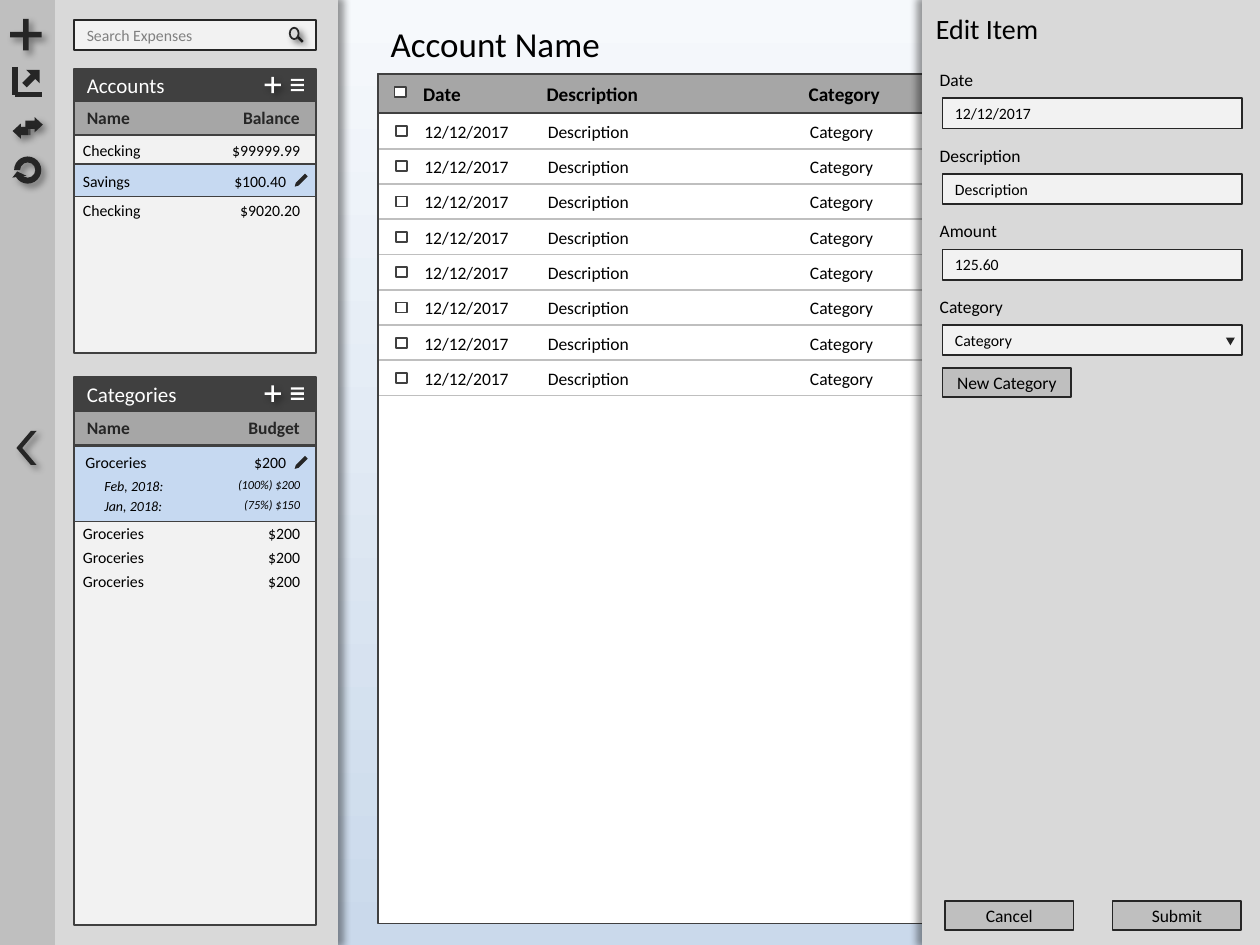
from lxml import etree
from pptx import Presentation
from pptx import util as u
from pptx.dml.color import RGBColor
from pptx.enum import shapes, text
from pptx.oxml import ns

BLACK = RGBColor(0x00, 0x00, 0x00)
INK = RGBColor(0x26, 0x26, 0x26)
CHARCOAL = RGBColor(0x40, 0x40, 0x40)
HINT = RGBColor(0x80, 0x80, 0x80)
HEADING = RGBColor(0xA6, 0xA6, 0xA6)
SILVER = RGBColor(0xBF, 0xBF, 0xBF)
PANEL = RGBColor(0xD9, 0xD9, 0xD9)
FIELD = RGBColor(0xF2, 0xF2, 0xF2)
SELECTED = RGBColor(0xC6, 0xD9, 0xF1)
WHITE = RGBColor(0xFF, 0xFF, 0xFF)
SKY_TOP = RGBColor(0xF6, 0xF9, 0xFC)
SKY_BOTTOM = RGBColor(0xCA, 0xD9, 0xEB)

KIND = shapes.MSO_SHAPE
LEFT, CENTER, RIGHT = text.PP_ALIGN.LEFT, text.PP_ALIGN.CENTER, text.PP_ALIGN.RIGHT


class Screen:
    font = "Calibri"

    def __init__(self, slide):
        self.slide = slide

    def add_words(self, frame, words, size, color=BLACK, align=LEFT,
                  anchor=text.MSO_ANCHOR.TOP, bold=False, italic=False):
        frame.word_wrap = True
        frame.vertical_anchor = anchor
        para = frame.paragraphs[0]
        para.alignment = align
        span = para.add_run()
        span.text = words
        span.font.name = self.font
        span.font.size = u.Pt(size)
        span.font.color.rgb = color
        span.font.bold = bold
        span.font.italic = italic
        return para

    def title(self, words, left, top, width, height, size):
        holder = self.slide.shapes.title
        holder.left, holder.top = u.Inches(left), u.Inches(top)
        holder.width, holder.height = u.Inches(width), u.Inches(height)
        holder.text_frame.auto_size = text.MSO_AUTO_SIZE.NONE
        self.add_words(holder.text_frame, words, size)

    def label(self, words, left, top, width, height, size, **style):
        box = self.slide.shapes.add_textbox(
            u.Inches(left), u.Inches(top), u.Inches(width), u.Inches(height))
        self.add_words(box.text_frame, words, size, **style)
        box.text_frame.auto_size = text.MSO_AUTO_SIZE.SHAPE_TO_FIT_TEXT

    def shape(self, left, top, width, height, fill, kind=KIND.RECTANGLE, line=None,
              weight=1, adjust=(), turn=0, flip=False, shadow=None):
        """Draw a preset shape; shadow is the direction it falls, in degrees."""
        box = self.slide.shapes.add_shape(
            kind, u.Inches(left), u.Inches(top), u.Inches(width), u.Inches(height))
        box.fill.solid()
        box.fill.fore_color.rgb = fill
        if line is None:
            box.line.fill.background()
        else:
            box.line.color.rgb = line
            box.line.width = u.Pt(weight)
        for index, value in enumerate(adjust):
            box.adjustments[index] = value
        box.rotation = turn
        if flip:
            box._element.spPr.xfrm.set("flipV", "1")
        box.shadow.inherit = False
        if shadow is not None:
            effects = box._element.spPr.find(ns.qn("a:effectLst"))
            outer = etree.SubElement(
                effects, ns.qn("a:outerShdw"), blurRad=str(u.Pt(4)), dist=str(u.Pt(3)),
                dir=str(shadow * 60000), algn="ctr", rotWithShape="0")
            color = etree.SubElement(outer, ns.qn("a:srgbClr"), val=str(BLACK))
            etree.SubElement(color, ns.qn("a:alpha"), val="40000")
        return box

    def bar(self, words, left, top, width, height, fill, line, size, tab=None,
            kind=KIND.RECTANGLE, adjust=(), **style):
        """Draw a filled bar with text; tab sets a right-aligned stop."""
        box = self.shape(left, top, width, height, fill, kind, line, adjust=adjust)
        para = self.add_words(box.text_frame, words, size,
                              anchor=text.MSO_ANCHOR.MIDDLE, **style)
        if tab:
            stops = etree.SubElement(para._p.get_or_add_pPr(), ns.qn("a:tabLst"))
            etree.SubElement(stops, ns.qn("a:tab"), pos=str(u.Inches(tab)), algn="r")

    def field(self, words, left, top, width, color=BLACK):
        self.bar(words, left, top, width, 0.24, FIELD, INK, 9, color=color,
                 kind=KIND.ROUNDED_RECTANGLE, adjust=[0])

    def button(self, words, left, top):
        self.bar(words, left, top, 1.02, 0.23, SILVER, INK, 10, align=CENTER)

    def line(self, x1, y1, x2, y2, color, weight):
        link = self.slide.shapes.add_connector(
            shapes.MSO_CONNECTOR.STRAIGHT,
            u.Inches(x1), u.Inches(y1), u.Inches(x2), u.Inches(y2))
        link.line.color.rgb = color
        link.line.width = u.Pt(weight)
        etree.SubElement(link._element.spPr, ns.qn("a:effectLst"))

    def ledger(self, name, amount_heading, top, head, body):
        """Draw a sidebar list: title bar, add and menu icons, column headings."""
        self.bar(name, 0.59, top, 1.92, head, CHARCOAL, CHARCOAL, 12, color=WHITE)
        self.shape(0.59, top + head, 1.92, body, FIELD, line=CHARCOAL)
        icon_top = top + (head - 0.13) / 2
        self.shape(2.1, icon_top, 0.13, 0.13, WHITE, KIND.CROSS,
                   adjust=[0.424], shadow=45)
        for shift in (-0.02, 0.02):
            self.shape(2.29, icon_top + shift, 0.14, 0.13, WHITE, KIND.MATH_EQUAL,
                       adjust=[0.131, 0.191])
        self.bar(f"Name\t{amount_heading}", 0.59, top + head, 1.92, 0.27, HEADING,
                 CHARCOAL, 10, tab=1.69, color=INK, bold=True)

    def entry(self, name, amount, top, left=0.56, right=2.48):
        self.label(name, left, top, 0.96, 0.25, 9)
        self.label(amount, right - 0.96, top, 0.96, 0.25, 9, align=RIGHT)

    def selection(self, top, height, pencil_top):
        self.shape(0.59, top, 1.92, height, SELECTED, line=CHARCOAL)
        self.shape(2.32, pencil_top, 0.13, 0.03, INK, KIND.PENTAGON,
                   adjust=[0.892], turn=135, flip=True)

    def checkbox(self, left, top):
        self.shape(left, top, 0.09, 0.08, WHITE, line=CHARCOAL)

    def table_row(self, cells, left, top, height, size, bold=False):
        for words, shift, width in zip(cells, (0, 0.98, 3.06), (0.96, 2, 1.22)):
            self.label(words, left + shift, top, width, height, size, bold=bold)
        self.checkbox(left - 0.13, top + 0.09)


def draw_toolbar(screen):
    screen.shape(0, 0, 2.67, 7.5, PANEL, line=PANEL, weight=2, shadow=0)
    screen.shape(0, 0, 0.42, 7.5, SILVER, line=SILVER, weight=2)
    screen.shape(0.08, 0.15, 0.25, 0.25, INK, KIND.CROSS, adjust=[0.413], shadow=45)
    screen.line(0.12, 0.53, 0.12, 0.75, INK, 3)
    screen.line(0.12, 0.75, 0.33, 0.75, INK, 3)
    screen.shape(0.17, 0.54, 0.17, 0.15, INK, KIND.RIGHT_ARROW,
                 adjust=[0.335, 0.5], turn=315)
    for left, top, turn in ((0.2, 0.93, 0), (0.1, 0.98, 180)):
        screen.shape(left, top, 0.14, 0.12, INK, KIND.STRIPED_RIGHT_ARROW,
                     adjust=[0.538, 0.54], turn=turn, flip=True, shadow=45)
    screen.shape(0.08, 1.21, 0.28, 0.28, INK, KIND.CIRCULAR_ARROW,
                 adjust=[0.169, 18.564, 84.845, 108, 0.199], shadow=45)
    screen.shape(0.13, 3.42, 0.16, 0.27, INK, KIND.CHEVRON,
                 adjust=[0.716], turn=180, shadow=45)


def draw_sidebar(screen):
    screen.field("Search Expenses", 0.59, 0.16, 1.92, HINT)
    screen.shape(2.3, 0.28, 0.12, 0.02, INK, turn=45, shadow=45)
    screen.shape(2.3, 0.22, 0.07, 0.09, PANEL, KIND.OVAL, INK, shadow=45)

    screen.ledger("Accounts", "Balance", 0.55, 0.25, 2)
    screen.selection(1.3, 0.26, 1.42)
    screen.entry("Checking", "$99999.99", 1.07)
    screen.entry("Savings", "$100.40", 1.31, right=2.37)
    screen.entry("Checking", "$9020.20", 1.54)

    screen.ledger("Categories", "Budget", 2.99, 0.27, 4.08)
    screen.selection(3.54, 0.6, 3.66)
    screen.entry("Groceries", "$200", 3.54, left=0.58, right=2.37)
    for month, spent, top in (("Feb, 2018:", "(100%) $200", 3.74),
                              ("Jan, 2018:", "(75%) $150", 3.9)):
        screen.label(month, 0.73, top, 1.27, 0.24, 8, italic=True)
        screen.label(spent, 1.64, top, 0.84, 0.22, 7, align=RIGHT, italic=True)
    for row in range(3):
        screen.entry("Groceries", "$200", 4.11 + 0.19 * row)


def draw_expenses(screen):
    screen.title("Account Name", 3, 0.13, 2.75, 0.44, 20)
    screen.shape(3, 0.59, 6.82, 6.74, WHITE, line=CHARCOAL)
    screen.shape(3, 0.59, 6.82, 0.31, HEADING, line=CHARCOAL)
    screen.table_row(("Date", "Description", "Category"), 3.26, 0.6, 0.29, 11, bold=True)
    for row in range(8):
        top = 0.91 + 0.28 * row
        screen.table_row(("12/12/2017", "Description", "Category"), 3.27, top, 0.27, 10)
        screen.line(3.01, top + 0.27, 9.83, top + 0.27, SILVER, 1)


def draw_edit_form(screen):
    screen.shape(7.33, 0, 2.67, 7.5, PANEL, line=PANEL, weight=2, shadow=180)
    screen.label("Edit Item", 7.33, 0.04, 1.42, 0.37, 16)
    values = {"Date": "12/12/2017", "Description": "Description",
              "Amount": "125.60", "Category": "Category"}
    for row, (name, value) in enumerate(values.items()):
        top = 0.5 + 0.6 * row
        screen.label(name, 7.36, top, 2.35, 0.27, 10)
        screen.field(value, 7.48, top + 0.28, 2.38)
    screen.shape(9.73, 2.68, 0.07, 0.06, INK, KIND.ISOSCELES_TRIANGLE, turn=180)
    screen.button("New Category", 7.48, 2.92)
    screen.button("Submit", 8.83, 7.15)
    screen.button("Cancel", 7.5, 7.15)


def main():
    deck = Presentation()
    deck.slide_width, deck.slide_height = u.Inches(10), u.Inches(7.5)
    slide = deck.slides.add_slide(deck.slide_layouts[5])
    backdrop = slide.background.fill
    backdrop.gradient()
    backdrop.gradient_angle = 270
    for stop, color in zip(backdrop.gradient_stops, (SKY_TOP, SKY_BOTTOM)):
        stop.color.rgb = color
    screen = Screen(slide)
    draw_toolbar(screen)
    draw_sidebar(screen)
    draw_expenses(screen)
    draw_edit_form(screen)
    deck.save("out.pptx")


if __name__ == "__main__":
    main()
